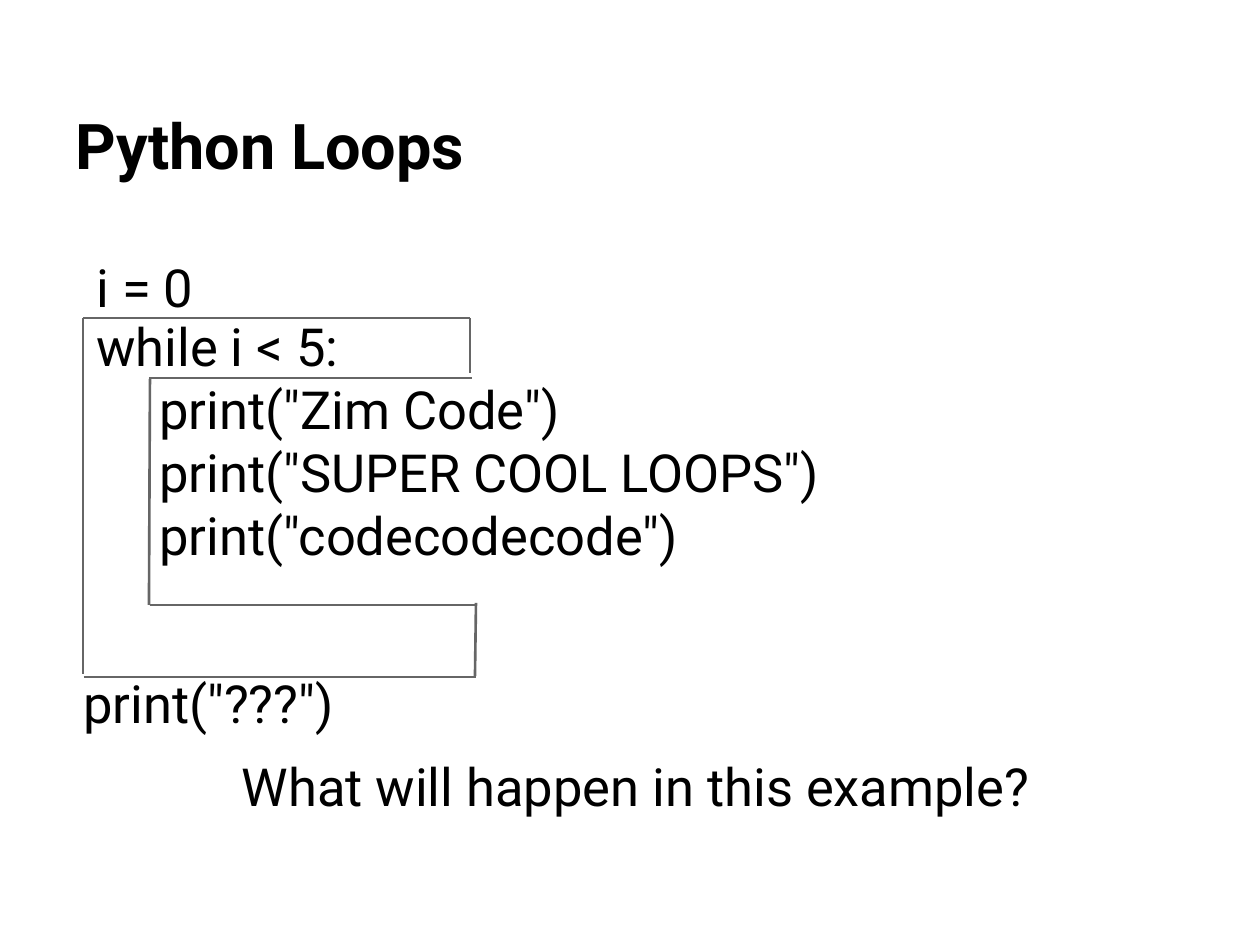
from pptx import Presentation
from pptx.dml.color import RGBColor as RGB
from pptx.enum.shapes import MSO_CONNECTOR as CONN
from pptx.enum.text import MSO_ANCHOR as ANCHOR, PP_ALIGN as ALIGN
from pptx.oxml.ns import qn
from pptx.util import Pt
from lxml import etree

COLORS = {"text": "000000", "line": "666666", "back": "FFFFFF"}
SCALE = 914400 / 126


def px(n):
    return round(n * SCALE)


def add_text(s, box, lines, size=30, bold=False, anchor=ANCHOR.TOP, align=ALIGN.LEFT):
    tf = s.shapes.add_textbox(*map(px, box)).text_frame
    frame = {"word_wrap": True, "vertical_anchor": anchor}
    frame.update({f"margin_{side}": Pt(7.2) for side in ("left", "top", "right", "bottom")})
    for name, value in frame.items():
        setattr(tf, name, value)
    for i, (text, indent) in enumerate(lines):
        p = tf.paragraphs[0] if i == 0 else tf.add_paragraph()
        p.alignment = align
        if indent:
            pPr = p._p.get_or_add_pPr()
            pPr.set("marL", "0")
            pPr.set("indent", str(px(indent)))
        r = p.add_run()
        r.text = text
        for name, value in {"name": "Roboto", "size": Pt(size), "bold": bold}.items():
            setattr(r.font, name, value)
        r.font.color.rgb = RGB.from_string(COLORS["text"])


prs = Presentation()
prs.slide_width, prs.slide_height = px(1260), px(945)
s = prs.slides.add_slide(prs.slide_layouts[6])
s.background.fill.solid()
s.background.fill.fore_color.rgb = RGB.from_string(COLORS["back"])

add_text(s, (63, 38, 1134, 157), [("Python Loops", 0)], 36, True, ANCHOR.BOTTOM)
add_text(s, (84, 301, 1134, 190), [
    ("while i < 5:", 0),
    ('print("Zim Code")', 63),
    ('print("SUPER COOL LOOPS")', 63),
    ('print("codecodecode")', 63),
])

bracket_lines = [
    (149, 378, 472, 378),
    (470, 373, 470, 318),
    (470, 318, 83, 318),
    (83, 318, 83, 674),
    (84, 677, 476, 677),
    (475, 676, 476, 603),
    (150, 379, 149, 605),
    (150, 605, 475, 605),
]
for ends in bracket_lines:
    c = s.shapes.add_connector(CONN.STRAIGHT, *map(px, ends))
    c.line.width = Pt(1.5)
    c.line.color.rgb = RGB.from_string(COLORS["line"])
    etree.SubElement(c._element.spPr, qn("a:effectLst"))

add_text(s, (69, 741, 1134, 103), [("What will happen in this example?", 0)], align=ALIGN.CENTER)
add_text(s, (71, 658, 646, 165), [('print("???")', 0)])
add_text(s, (84, 249, 145, 76), [("i = 0", 0)], anchor=ANCHOR.MIDDLE)

prs.save("out.pptx")
